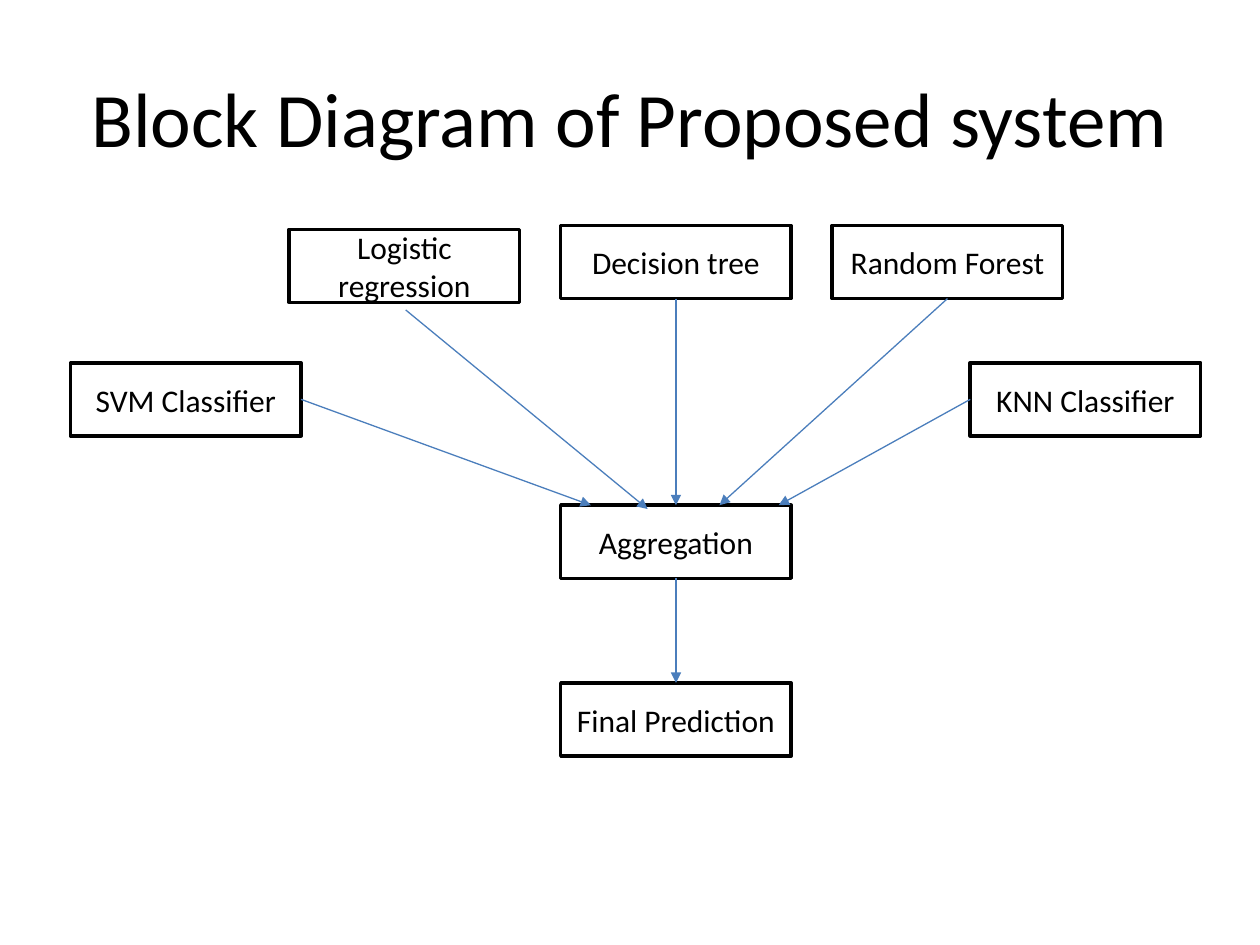
from lxml.etree import SubElement
from pptx import Presentation
from pptx.dml.color import RGBColor
from pptx.enum.shapes import MSO_CONNECTOR as Connector, MSO_SHAPE as Shape
from pptx.enum.text import MSO_ANCHOR as Anchor, PP_ALIGN as Align
from pptx.oxml.ns import qn
from pptx.util import Inches, Pt

BLACK = RGBColor(0x00, 0x00, 0x00)
WHITE = RGBColor(0xFF, 0xFF, 0xFF)
BLUE = RGBColor(0x4B, 0x7E, 0xBC)
FONT = "Calibri"
TITLE = "Block Diagram of Proposed system"
BOX_WIDTH, BOX_HEIGHT = 1.83, 0.58
CENTER_LEFT, COLUMN_STEP = 4.45, 2.155
MODEL_TOP, CLASSIFIER_TOP, AGGREGATION_TOP, PREDICTION_TOP = 1.79, 2.88, 4.01, 5.42
TOP, LEFT, BOTTOM, RIGHT = range(4)

BOXES = {
    "SVM Classifier": (0.56, CLASSIFIER_TOP),
    "Random Forest": (CENTER_LEFT + COLUMN_STEP, MODEL_TOP),
    "Decision tree": (CENTER_LEFT, MODEL_TOP),
    "Logistic regression": (CENTER_LEFT - COLUMN_STEP, MODEL_TOP + 0.03),
    "Aggregation": (CENTER_LEFT, AGGREGATION_TOP),
    "Final Prediction": (CENTER_LEFT, PREDICTION_TOP),
    "KNN Classifier": (7.7, CLASSIFIER_TOP),
}
JOINED_ARROWS = [
    ("Decision tree", BOTTOM, "Aggregation"),
    ("Aggregation", BOTTOM, "Final Prediction"),
]
SIDE_ARROWS = [
    ("Random Forest", BOTTOM, (5.71, AGGREGATION_TOP)),
    ("SVM Classifier", RIGHT, (4.69, AGGREGATION_TOP)),
    ("KNN Classifier", LEFT, (6.18, AGGREGATION_TOP)),
]
FREE_ARROW = ((3.22, 2.46), (5.14, 4.04))


def write_text(shape, text, size):
    frame = shape.text_frame
    frame.text = text
    frame.word_wrap = True
    frame.vertical_anchor = Anchor.MIDDLE
    paragraph = frame.paragraphs[0]
    paragraph.alignment = Align.CENTER
    font = paragraph.runs[0].font
    font.name, font.size, font.color.rgb = FONT, Pt(size), BLACK


def add_box(slide, text, left, top):
    box = slide.shapes.add_shape(
        Shape.RECTANGLE, Inches(left), Inches(top), Inches(BOX_WIDTH), Inches(BOX_HEIGHT))
    box.shadow.inherit = False
    box.fill.solid()
    box.fill.fore_color.rgb = WHITE
    box.line.color.rgb = BLACK
    box.line.width = Pt(2)
    write_text(box, text, 18)
    return box


def add_arrow(slide, start=(0, 0), end=(0, 0)):
    arrow = slide.shapes.add_connector(
        Connector.STRAIGHT, *(Inches(value) for value in (*start, *end)))
    arrow.line.color.rgb = BLUE
    arrow.line.width = Pt(0.75)
    properties = arrow.line._get_or_add_ln()
    SubElement(properties, qn("a:tailEnd"), type="triangle")
    SubElement(properties.getparent(), qn("a:effectLst"))
    return arrow


def main():
    """Build the block diagram slide."""
    presentation = Presentation()
    presentation.slide_width, presentation.slide_height = Inches(10), Inches(7.5)
    slide = presentation.slides.add_slide(presentation.slide_layouts[5])

    title = slide.shapes.title
    title.left, title.top = Inches(0.5), Inches(0.3)
    title.width, title.height = Inches(9), Inches(1.25)
    write_text(title, TITLE, 44)

    boxes = {text: add_box(slide, text, *place) for text, place in BOXES.items()}
    for source, side, target in JOINED_ARROWS:
        arrow = add_arrow(slide)
        arrow.begin_connect(boxes[source], side)
        arrow.end_connect(boxes[target], TOP)
    for source, side, end in SIDE_ARROWS:
        add_arrow(slide, end=end).begin_connect(boxes[source], side)
    add_arrow(slide, *FREE_ARROW)

    presentation.save("out.pptx")


if __name__ == "__main__":
    main()
